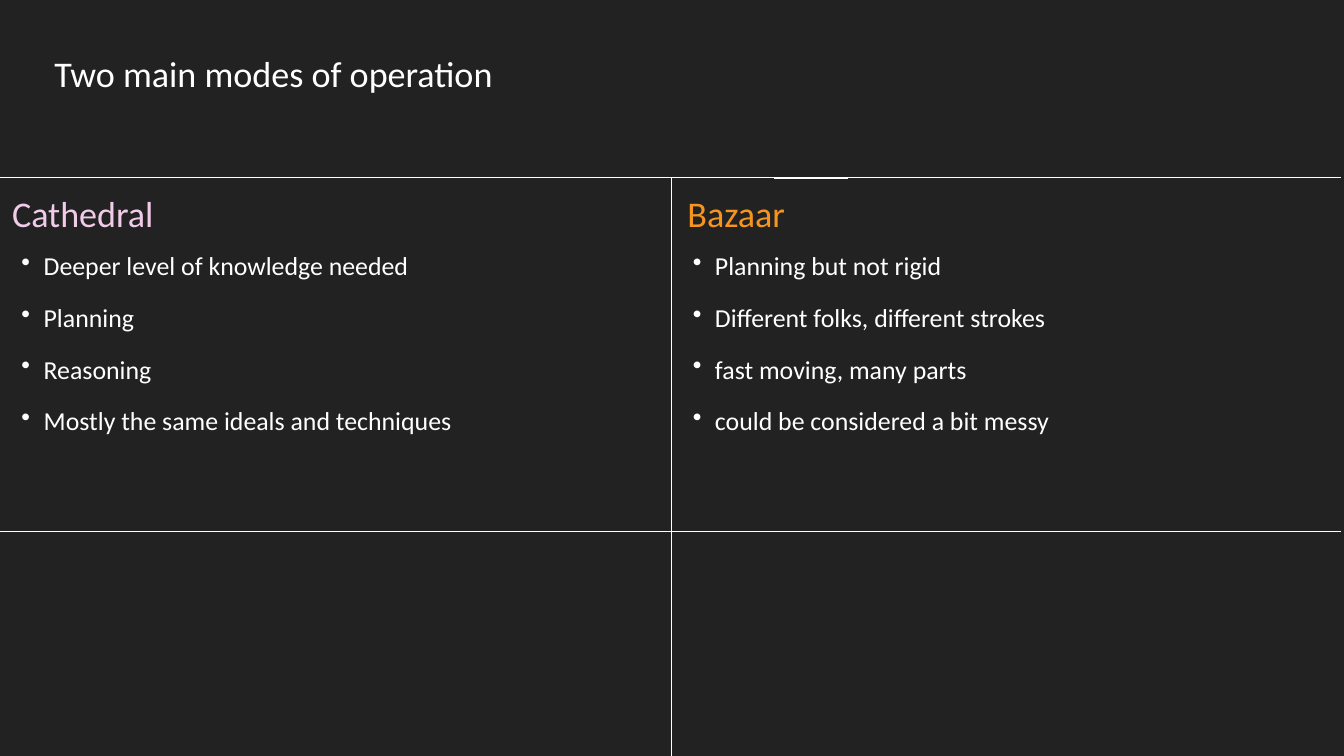
import pptx
import pptx.dml.color
import pptx.enum.shapes
import pptx.enum.text
import pptx.oxml.ns
import pptx.util
from lxml import etree
from pptx.util import Inches

# Content
TITLE = "Two main modes of operation"
MODES = [
    {
        "heading": "Cathedral",
        "color": "cathedral",
        "points": [
            "Deeper level of knowledge needed",
            "Planning",
            "Reasoning",
            "Mostly the same ideals and techniques",
        ],
    },
    {
        "heading": "Bazaar",
        "color": "bazaar",
        "points": [
            "Planning but not rigid",
            "Different folks, different strokes",
            "fast moving, many parts",
            "could be considered a bit messy",
        ],
    },
]

# Theme: colours, font and type sizes in points
THEME = {
    "background": "222222",
    "text": "FFFFFF",
    "cathedral": "F1CBE8",
    "bazaar": "F69420",
    "font": "Calibri",
    "heading_size": 38.7,
    "heading_spacing": 54.2,
    "body_size": 27.7,
    "body_spacing": 55.4,
    "rule_width": 0.75,
}

# Layout in inches
WIDTH, HEIGHT = 20, 11.25
RULE_END = 19.95
COLUMN_LEFTS = (0, 9.99)
HEADING_LEFTS = (0.18, 10.23)
TOP_RULE, BOTTOM_RULE = 2.64, 7.91
BULLET_INDENT, BULLET_HANG = 0.65, 0.33


def color(name):
    return pptx.dml.color.RGBColor.from_string(THEME[name])


def place(box, left, top, width, height):
    box.left, box.top = Inches(left), Inches(top)
    box.width, box.height = Inches(width), Inches(height)


def add_bullet(para):
    para.level = 1
    properties = para._p.get_or_add_pPr()
    properties.set("marL", str(Inches(BULLET_INDENT)))
    properties.set("indent", str(-Inches(BULLET_HANG)))
    mark = etree.SubElement(properties, pptx.oxml.ns.qn("a:buChar"))
    mark.set("char", "•")


def write(box, lines, size, spacing, fill="text", bullets=False):
    frame = box.text_frame
    frame.word_wrap = True
    frame.auto_size = pptx.enum.text.MSO_AUTO_SIZE.NONE
    frame.vertical_anchor = pptx.enum.text.MSO_ANCHOR.TOP
    frame.margin_left = frame.margin_right = 0
    frame.margin_top = frame.margin_bottom = 0
    align = pptx.enum.text.PP_ALIGN
    for index, line in enumerate(lines):
        para = frame.paragraphs[0] if index == 0 else frame.add_paragraph()
        if bullets:
            add_bullet(para)
        para.alignment = align.JUSTIFY if bullets else align.LEFT
        para.line_spacing = pptx.util.Pt(THEME[spacing])
        para.space_before = pptx.util.Pt(0)
        span = para.add_run()
        span.text = line
        span.font.name = THEME["font"]
        span.font.size = pptx.util.Pt(THEME[size])
        span.font.color.rgb = color(fill)


def add_rule(page, left, top, right, bottom):
    rule = page.shapes.add_connector(
        pptx.enum.shapes.MSO_CONNECTOR.STRAIGHT,
        Inches(left), Inches(top), Inches(right), Inches(bottom),
    )
    rule.line.color.rgb = color("text")
    rule.line.width = pptx.util.Pt(THEME["rule_width"])
    etree.SubElement(rule._element.spPr, pptx.oxml.ns.qn("a:effectLst"))


def main():
    deck = pptx.Presentation()
    deck.slide_width, deck.slide_height = Inches(WIDTH), Inches(HEIGHT)
    page = deck.slides.add_slide(deck.slide_layouts.get_by_name("Title Only"))
    page.background.fill.solid()
    page.background.fill.fore_color.rgb = color("background")

    # Dividing rules, with a short accent on the top one
    add_rule(page, 0, TOP_RULE, RULE_END, TOP_RULE)
    add_rule(page, COLUMN_LEFTS[1], HEIGHT, COLUMN_LEFTS[1], TOP_RULE)
    add_rule(page, 11.52, TOP_RULE + 0.01, 12.62, TOP_RULE + 0.01)
    add_rule(page, 0, BOTTOM_RULE, RULE_END, BOTTOM_RULE)

    # Title
    title = page.shapes.title
    place(title, 0.81, 0.66, 11.44, 0.74)
    write(title, [TITLE], "heading_size", "heading_spacing")

    # One column for each mode
    for mode, left, heading_left in zip(MODES, COLUMN_LEFTS, HEADING_LEFTS):
        heading = page.shapes.add_textbox(0, 0, 0, 0)
        place(heading, heading_left, 2.74, 5.87, 0.74)
        write(heading, [mode["heading"]], "heading_size", "heading_spacing",
              fill=mode["color"])

        points = page.shapes.add_textbox(0, 0, 0, 0)
        place(points, left, 3.41, 9.46, 3.1)
        write(points, mode["points"], "body_size", "body_spacing", bullets=True)

    deck.save("out.pptx")


if __name__ == "__main__":
    main()
